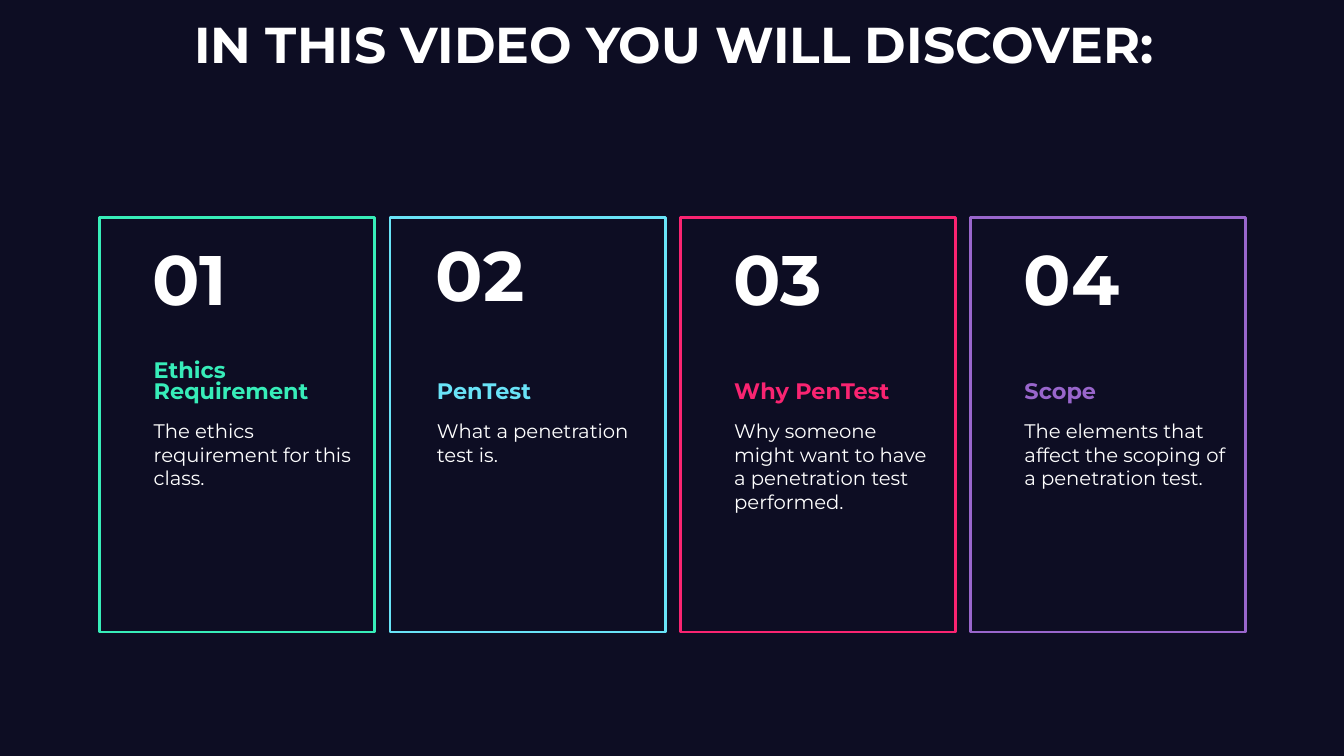
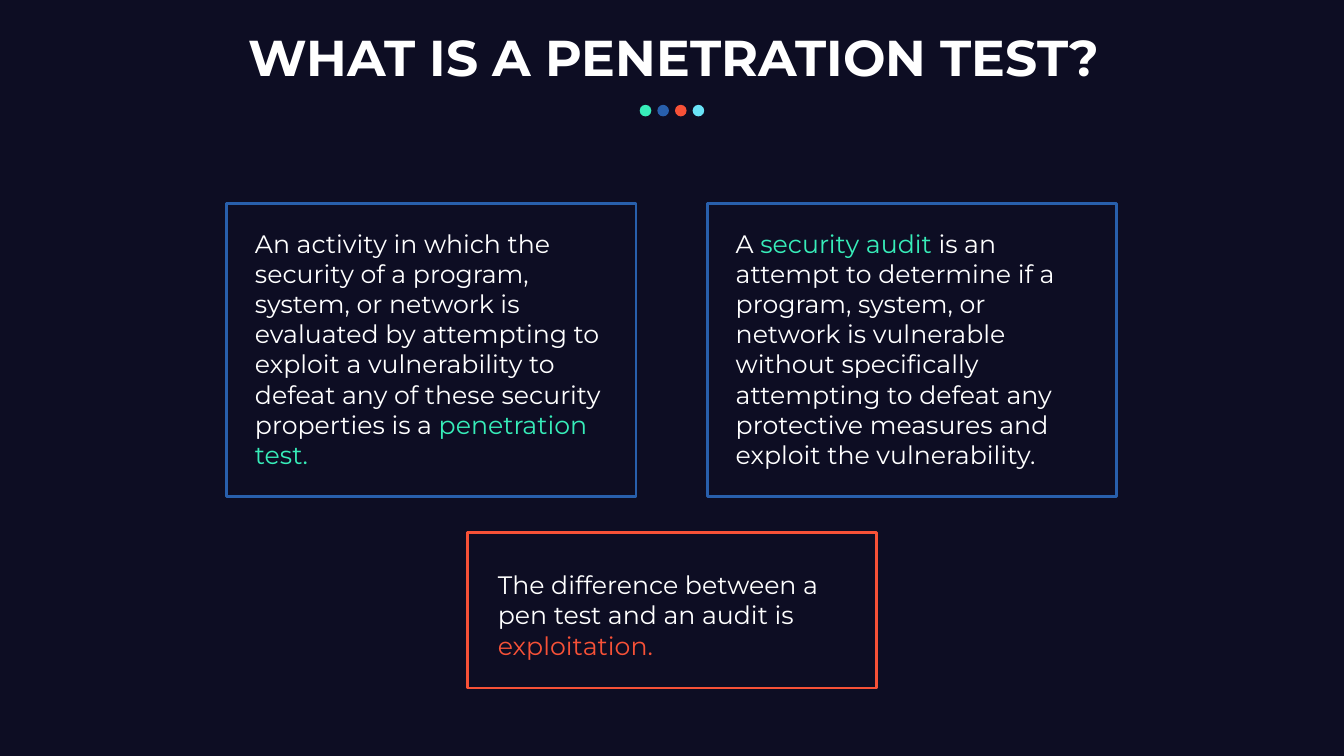
from pptx import Presentation
from pptx.dml.color import RGBColor
from pptx.enum.shapes import MSO_SHAPE
from pptx.enum.text import MSO_ANCHOR, PP_ALIGN
from pptx.util import Inches, Pt

WIDTH, HEIGHT = 26.67, 15
FONT = "Montserrat"
NAVY, WHITE = "0D0D23", "FFFFFF"
GREEN, CYAN, BLUE = "37EDB9", "69E3F7", "285FAC"
PINK, PURPLE, ORANGE = "F92471", "9966CC", "F75137"

AGENDA_TITLE = "IN THIS VIDEO YOU WILL DISCOVER:"
TOPICS = [
    dict(heading="Ethics Requirement", body="The ethics requirement for this class.",
         color=GREEN, inset=1.07, heading_size=(4.4, 0.86), body_size=(3.96, 3.36), number_size=(2.21, 1.68)),
    dict(heading="PenTest", body="What a penetration test is.",
         color=CYAN, inset=0.93, heading_size=(4.16, 0.43), body_size=(4.39, 3.36), number_size=(2.66, 1.52)),
    dict(heading="Why PenTest", body="Why someone might want to have a penetration test performed.",
         color=PINK, inset=1.07, heading_size=(3.9, 0.43), body_size=(4.07, 3.7), number_size=(2.21, 1.68)),
    dict(heading="Scope", body="The elements that affect the scoping of a penetration test.",
         color=PURPLE, inset=1.07, heading_size=(3.9, 0.43), body_size=(4.07, 3.7), number_size=(2.21, 1.68)),
]
CARD_LEFT, CARD_TOP, CARD_WIDTH, CARD_HEIGHT, CARD_STEP = 1.98, 4.31, 5.46, 8.23, 5.76
NUMBER_TOP, HEADING_BOTTOM, BODY_TOP = 4.67, 8.02, 8.32

DEFINITION_TITLE = "WHAT IS A PENETRATION TEST?"
DOTS = [GREEN, BLUE, ORANGE, CYAN]
DOT_SIZE, DOT_STEP, DOT_TOP = 0.23, 0.35, 2.08
PANEL_WIDTH, PANEL_TEXT_WIDTH = 8.12, 7.01
PANELS = [
    dict(left=4.5, top=4.04, height=5.81, color=BLUE, inset=(0.56, 0.48), text_height=4.85, spans=[
        ("An activity in which the security of a program, system, or network is evaluated by attempting "
         "to exploit a vulnerability to defeat any of these security properties is a ", WHITE),
        ("penetration test.", GREEN)]),
    dict(left=14.04, top=4.04, height=5.81, color=BLUE, inset=(0.56, 0.48), text_height=4.85, spans=[
        ("A ", WHITE), ("security audit ", GREEN),
        ("is an attempt to determine if a program, system, or network is vulnerable without specifically "
         "attempting to defeat any protective measures and exploit the vulnerability.", WHITE)]),
    dict(left=9.27, top=10.57, height=3.08, color=ORANGE, inset=(0.61, 0.73), text_height=1.82, spans=[
        ("The difference between a pen test and an audit is ", WHITE), ("exploitation.", ORANGE)]),
]


def rgb(color):
    return RGBColor.from_string(color)


def add_text(page, text, left, top, width, height, size, color=WHITE, bold=False,
             anchor=MSO_ANCHOR.TOP, align=PP_ALIGN.LEFT, line_spacing=None, gap=None):
    box = page.shapes.add_textbox(*map(Inches, (left, top, width, height)))
    frame = box.text_frame
    frame.word_wrap = True
    frame.vertical_anchor = anchor
    frame.margin_left = frame.margin_right = frame.margin_top = frame.margin_bottom = 0
    para = frame.paragraphs[0]
    para.alignment = align
    if line_spacing:
        para.line_spacing = line_spacing
    if gap:
        para.space_before = para.space_after = Pt(gap)
    for words, span_color in [(text, color)] if isinstance(text, str) else text:
        span = para.add_run()
        span.text = words
        span.font.name = FONT
        span.font.size = Pt(size)
        span.font.bold = bold
        span.font.color.rgb = rgb(span_color)


def add_figure(page, kind, left, top, width, height, fill=None, line=None):
    figure = page.shapes.add_shape(kind, *map(Inches, (left, top, width, height)))
    figure.shadow.inherit = False
    if fill:
        figure.fill.solid()
        figure.fill.fore_color.rgb = rgb(fill)
    else:
        figure.fill.background()
    if line:
        figure.line.color.rgb = rgb(line)
        figure.line.width = Pt(4)
    else:
        figure.line.fill.background()
    return figure


def add_frame(page, left, top, width, height, color):
    frame = add_figure(page, MSO_SHAPE.ROUNDED_RECTANGLE, left, top, width, height, line=color)
    frame.adjustments[0] = 0


def add_page(deck, title, title_top, title_width):
    page = deck.slides.add_slide(deck.slide_layouts[6])
    page.background.fill.solid()
    page.background.fill.fore_color.rgb = rgb(NAVY)
    add_text(page, title, (WIDTH - title_width) / 2 + 0.04, title_top, title_width, 0.98, size=72,
             bold=True, anchor=MSO_ANCHOR.MIDDLE, align=PP_ALIGN.CENTER, line_spacing=0.8)
    return page


def build_agenda(deck):
    page = add_page(deck, AGENDA_TITLE, 0.48, 24.59)
    for index, topic in enumerate(TOPICS):
        card_left = CARD_LEFT + index * CARD_STEP
        text_left = card_left + topic["inset"]
        heading_top = HEADING_BOTTOM - topic["heading_size"][1]
        add_text(page, topic["heading"], text_left, heading_top, *topic["heading_size"], size=32,
                 color=topic["color"], bold=True, anchor=MSO_ANCHOR.MIDDLE, line_spacing=0.8)
        add_text(page, topic["body"], text_left, BODY_TOP, *topic["body_size"], size=28)
        add_text(page, f"{index + 1:02}", text_left - 0.02, NUMBER_TOP, *topic["number_size"],
                 size=100, bold=True, anchor=MSO_ANCHOR.MIDDLE)
        add_frame(page, card_left, CARD_TOP, CARD_WIDTH, CARD_HEIGHT, topic["color"])


def build_definition(deck):
    page = add_page(deck, DEFINITION_TITLE, 0.74, 16.96)
    dots_width = (len(DOTS) - 1) * DOT_STEP + DOT_SIZE
    for index, color in enumerate(DOTS):
        dot_left = (WIDTH - dots_width) / 2 + index * DOT_STEP
        add_figure(page, MSO_SHAPE.OVAL, dot_left, DOT_TOP, DOT_SIZE, DOT_SIZE, fill=color)
    for panel in PANELS:
        left, top = panel["left"], panel["top"]
        inset_x, inset_y = panel["inset"]
        add_text(page, panel["spans"], left + inset_x, top + inset_y,
                 PANEL_TEXT_WIDTH, panel["text_height"], size=36, gap=6)
        add_frame(page, left, top, PANEL_WIDTH, panel["height"], panel["color"])


def main():
    deck = Presentation()
    deck.slide_width, deck.slide_height = Inches(WIDTH), Inches(HEIGHT)
    build_agenda(deck)
    build_definition(deck)
    deck.save("out.pptx")


if __name__ == "__main__":
    main()
